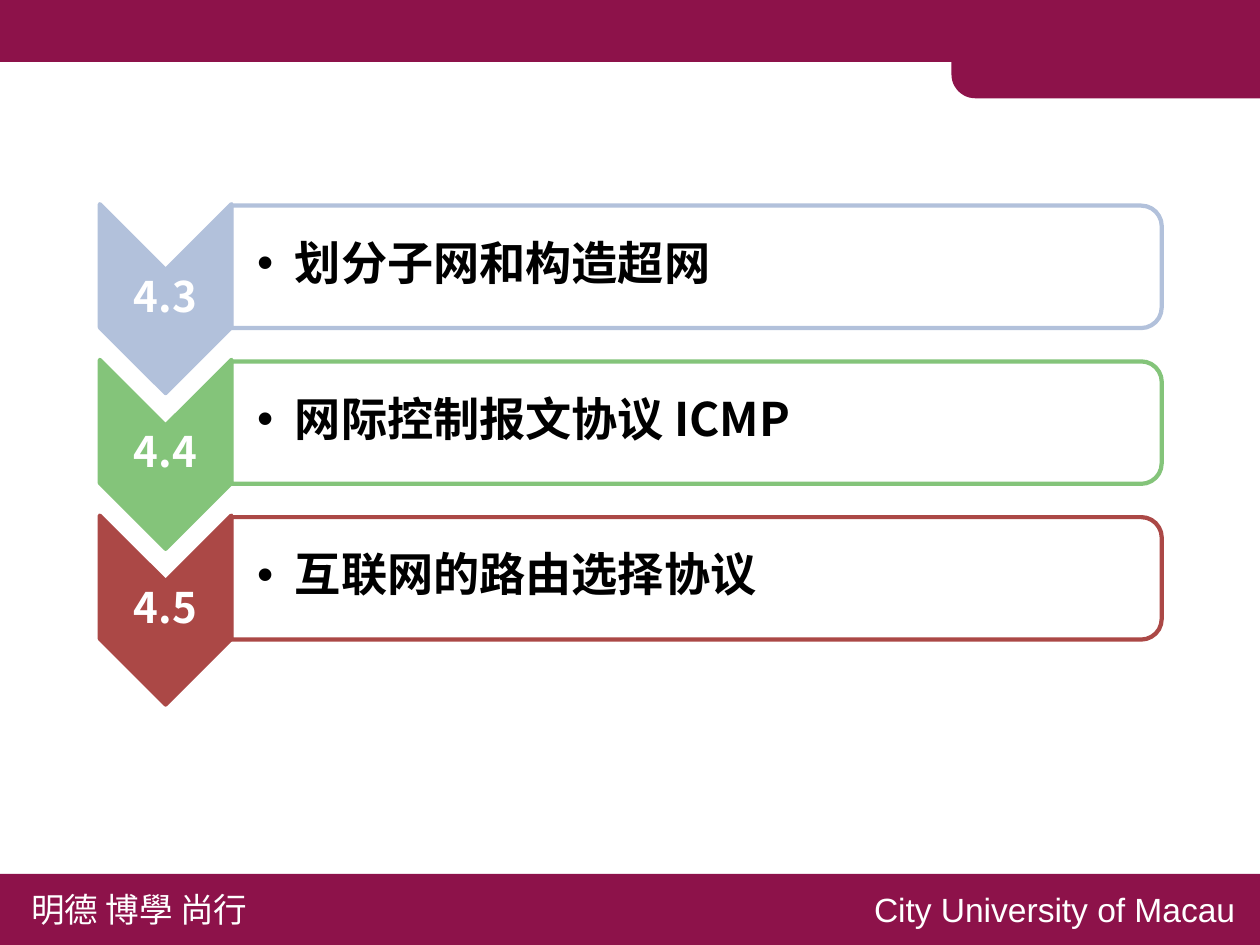
from dataclasses import dataclass

from lxml.etree import SubElement
from pptx import Presentation
from pptx.dml.color import RGBColor as Rgb
from pptx.enum.shapes import MSO_SHAPE as Kind
from pptx.enum.text import MSO_ANCHOR as Anchor, MSO_AUTO_SIZE as Fit, PP_ALIGN as Align
from pptx.oxml.ns import qn
from pptx.util import Pt

TOPICS = [
    ("4.3", "划分子网和构造超网", "B2C1DB"),
    ("4.4", "网际控制报文协议 ICMP", "84C47A"),
    ("4.5", "互联网的路由选择协议", "AB4846"),
]
FOOTERS = [
    ("明德 博學 尚行", "Noto Sans CJK SC", (11, 583, 168, 37)),
    ("City University of Macau", "Arial", (568, 583, 262, 64)),
]
BARS = [(-1, -1, 835, 42), (-2, 578, 836, 49)]
TAB = (629, 2, 205, 63)
STEP = 103  # from one topic row to the next


@dataclass(frozen=True)
class Theme:
    brand: str = "8D124A"
    white: str = "FFFFFF"
    ink: str = "000000"
    cjk: str = "Noto Sans CJK SC"
    foot: int = 16
    label: int = 20
    item: int = 22


THEME = Theme()
PX = 9144  # 100 px to the inch


def emu(*nums):
    return [round(n * PX) for n in nums]


def draw(kind, box, fill, line=None, turn=0, adj=(), alpha=None):
    """Draw a shape whose box on the slide, after a quarter turn, is box."""
    x, y, w, h = box
    if turn:
        x, y, w, h = x + (w - h) / 2, y + (h - w) / 2, h, w
    shape = slide.shapes.add_shape(kind, *emu(x, y, w, h))
    shape.shadow.inherit = False
    shape.rotation = turn
    for i, num in enumerate(adj):
        shape.adjustments[i] = num
    shape.fill.solid()
    shape.fill.fore_color.rgb = Rgb.from_string(fill)
    if alpha:
        tint = shape.fill._xPr.find(qn("a:solidFill"))[0]
        SubElement(tint, qn("a:alpha"), val=str(alpha * 1000))
    if line:
        shape.line.color.rgb = Rgb.from_string(line)
        shape.line.width = Pt(2)
    else:
        shape.line.fill.background()


def write(box, text, size, color, font=THEME.cjk, bold=False, align=Align.LEFT,
          anchor=Anchor.TOP, pads=(10, 5, 10, 5), space=1.0, bullet=False, holder=None):
    """Write text in holder, or in a new text box."""
    shape = holder or slide.shapes.add_textbox(*emu(*box))
    shape.left, shape.top, shape.width, shape.height = emu(*box)
    frame = shape.text_frame
    frame.word_wrap, frame.auto_size = True, Fit.NONE
    frame.vertical_anchor = anchor
    (frame.margin_left, frame.margin_top,
     frame.margin_right, frame.margin_bottom) = emu(*pads)
    para = frame.paragraphs[0]
    if bullet:
        props = para._p.get_or_add_pPr()
        props.set("marL", str(25 * PX))
        props.set("indent", str(-25 * PX))
        tint = SubElement(props, qn("a:buClr"))
        SubElement(tint, qn("a:srgbClr"), val=color)
        SubElement(props, qn("a:buFont"), typeface="Arial")
        SubElement(props, qn("a:buChar"), char="•")
    para.alignment, para.line_spacing = align, space
    para.space_before = Pt(0)
    run = para.add_run()
    run.text = text
    run.font.name, run.font.size, run.font.bold = font, Pt(size), bold
    run.font.color.rgb = Rgb.from_string(color)
    SubElement(run.font._element, qn("a:ea"), typeface=font)


deck = Presentation()
deck.slide_width, deck.slide_height = emu(833, 625)
slide = deck.slides.add_slide(deck.slide_layouts[4])
tree = slide.shapes._spTree
title, *bodies = slide.placeholders
for spare in [title, *bodies[len(TOPICS):]]:
    tree.remove(spare._element)

for bar in BARS:
    draw(Kind.RECTANGLE, bar, THEME.brand)
draw(Kind.ROUND_2_SAME_RECTANGLE, TAB, THEME.brand, turn=270, adj=(0.25, 0))
for text, font, box in FOOTERS:
    write(box, text, THEME.foot, THEME.white, font=font)

for row, ((label, item, color), body) in enumerate(zip(TOPICS, bodies)):
    y = 135 + row * STEP
    draw(Kind.CHEVRON, (66, y, 87, 125), color, line=color, turn=90, adj=(0.5,))
    write((66, y + 44, 87, 37), label, THEME.label, THEME.white, bold=True,
          align=Align.CENTER, anchor=Anchor.MIDDLE, pads=(1, 1, 1, 1), space=0.9)
    draw(Kind.ROUND_2_SAME_RECTANGLE, (153, y + 1, 615, 81), THEME.white,
         line=color, turn=90, adj=(0.167, 0), alpha=90)
    tree.append(body._element)
    write((153, y + 4, 611, 73), item, THEME.item, THEME.ink, bold=True,
          anchor=Anchor.MIDDLE, pads=(17, 2, 2, 2), space=0.9, bullet=True, holder=body)

deck.save("out.pptx")
